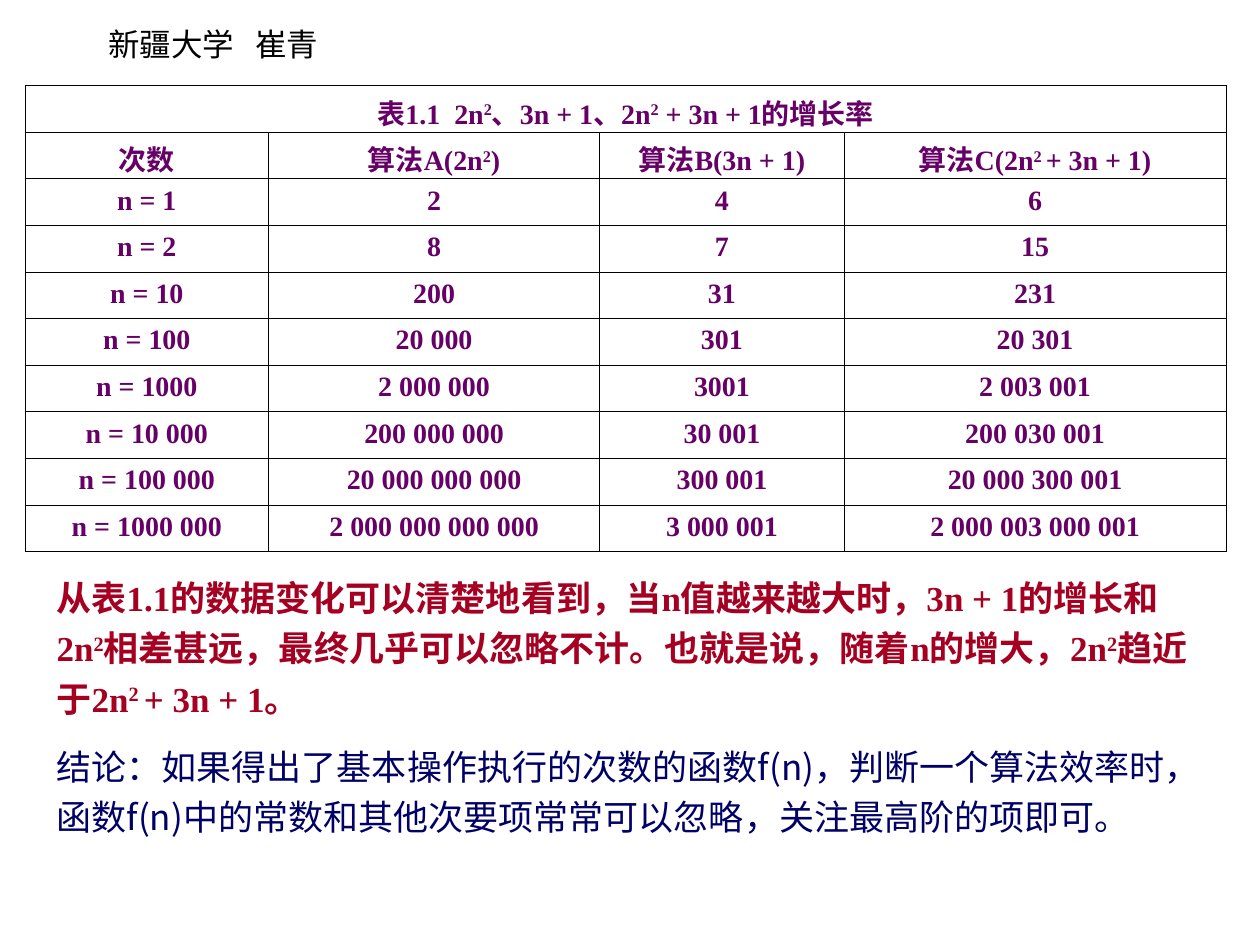
from dataclasses import dataclass

from lxml.etree import SubElement
from pptx import Presentation
from pptx.dml.color import RGBColor
from pptx.enum.text import MSO_ANCHOR as Anchor, MSO_AUTO_SIZE as AutoSize, PP_ALIGN as Align
from pptx.oxml.ns import qn
from pptx.util import Inches, Pt


@dataclass(frozen=True)
class Theme:
    sans: str = "Noto Sans CJK SC"
    serif: str = "Times New Roman"
    black: str = "000000"
    purple: str = "660066"
    red: str = "A50021"
    navy: str = "000066"
    author_size: int = 18
    table_size: int = 16
    body_size: int = 20
    outer_line: float = 0.34
    inner_line: float = 0.45


THEME = Theme()

TABLE_LEFT, TABLE_TOP, ROW_HEIGHT = 0.2, 0.68, 0.37
COLUMN_WIDTHS = (1.93, 2.63, 1.94, 3.03)
BODY_LEFT, BODY_WIDTH = 0.35, 9.29

# Text between bars is superscript.
CAPTION = "表1.1  2n|2|、3n + 1、2n|2| + 3n + 1的增长率"
GROWTH_ROWS = (
    ("次数", "算法A(2n|2|)", "算法B(3n + 1)", "算法C(2n|2 |+ 3n + 1)"),
    ("n = 1", "2", "4", "6"),
    ("n = 2", "8", "7", "15"),
    ("n = 10", "200", "31", "231"),
    ("n = 100", "20 000", "301", "20 301"),
    ("n = 1000", "2 000 000", "3001", "2 003 001"),
    ("n = 10 000", "200 000 000", "30 001", "200 030 001"),
    ("n = 100 000", "20 000 000 000", "300 001", "20 000 300 001"),
    ("n = 1000 000", "2 000 000 000 000", "3 000 001", "2 000 003 000 001"),
)
OBSERVATION = ("从表1.1的数据变化可以清楚地看到，当n值越来越大时，3n + 1的增长和2n|2|"
               "相差甚远，最终几乎可以忽略不计。也就是说，随着n的增大，2n|2|"
               "趋近于2n|2 |+ 3n + 1。")
CONCLUSION = ("结论：如果得出了基本操作执行的次数的函数f(n)，判断一个算法效率时，"
              "函数f(n)中的常数和其他次要项常常可以忽略，关注最高阶的项即可。")


def write(tf, text, *, size, color, font, bold=False, align=Align.LEFT, spacing=None):
    """Fill the first paragraph; text between bars becomes superscript."""
    p = tf.paragraphs[0]
    p.alignment = align
    if spacing:
        p.line_spacing = spacing
    for i, part in enumerate(text.split("|")):
        r = p.add_run()
        r.text = part
        r.font.size, r.font.bold, r.font.name = Pt(size), bold, font
        r.font.color.rgb = RGBColor.from_string(color)
        props = r.font._element
        SubElement(props, qn("a:ea")).set("typeface", THEME.sans)
        if i % 2:
            props.set("baseline", "30000")


def add_text(slide, text, left, top, width, height, *, wrap=True,
             anchor=Anchor.MIDDLE, **style):
    box = slide.shapes.add_textbox(*map(Inches, (left, top, width, height)))
    tf = box.text_frame
    tf.word_wrap = wrap
    tf.auto_size = AutoSize.SHAPE_TO_FIT_TEXT
    tf.vertical_anchor = anchor
    write(tf, text, **style)


def set_borders(cell, widths):
    """Draw the cell's sides; widths maps L, R, T and B to points."""
    props = cell._tc.get_or_add_tcPr()
    for i, side in enumerate("LRTB"):
        line = props.makeelement(qn(f"a:ln{side}"), {"w": str(Pt(widths[side]))})
        fill = SubElement(line, qn("a:solidFill"))
        SubElement(fill, qn("a:srgbClr")).set("val", THEME.black)
        props.insert(i, line)


def format_cell(cell, text, widths):
    cell.fill.background()
    set_borders(cell, widths)
    write(cell.text_frame, text, size=THEME.table_size, color=THEME.purple,
          font=THEME.serif, bold=True, align=Align.CENTER)


def add_growth_table(slide):
    row_count, column_count = len(GROWTH_ROWS) + 1, len(COLUMN_WIDTHS)
    table = slide.shapes.add_table(
        row_count, column_count, Inches(TABLE_LEFT), Inches(TABLE_TOP),
        Inches(sum(COLUMN_WIDTHS)), Inches(ROW_HEIGHT * row_count)).table
    table.first_row = table.horz_banding = False
    for column, width in zip(table.columns, COLUMN_WIDTHS):
        column.width = Inches(width)
    for row in table.rows:
        row.height = Inches(ROW_HEIGHT)

    table.cell(0, 0).merge(table.cell(0, column_count - 1))
    outer = dict.fromkeys("LRT", THEME.outer_line) | {"B": THEME.inner_line}
    format_cell(table.cell(0, 0), CAPTION, outer)
    inner = dict.fromkeys("LRTB", THEME.inner_line)
    for i, texts in enumerate(GROWTH_ROWS, start=1):
        for j, text in enumerate(texts):
            format_cell(table.cell(i, j), text, inner)


def main():
    prs = Presentation()
    prs.slide_width, prs.slide_height = Inches(10), Inches(7.5)
    slide = prs.slides.add_slide(prs.slide_layouts[6])

    add_text(slide, "新疆大学   崔青", 0.76, 0.15, 1.87, 0.4, wrap=False, anchor=Anchor.TOP,
             size=THEME.author_size, color=THEME.black, font=THEME.sans)
    add_growth_table(slide)
    add_text(slide, OBSERVATION, BODY_LEFT, 4.46, BODY_WIDTH, 1.3, spacing=1.2,
             size=THEME.body_size, color=THEME.red, font=THEME.serif, bold=True)
    add_text(slide, CONCLUSION, BODY_LEFT, 5.8, BODY_WIDTH, 0.9, spacing=1.2,
             size=THEME.body_size, color=THEME.navy, font=THEME.sans)
    prs.save("out.pptx")


if __name__ == "__main__":
    main()
